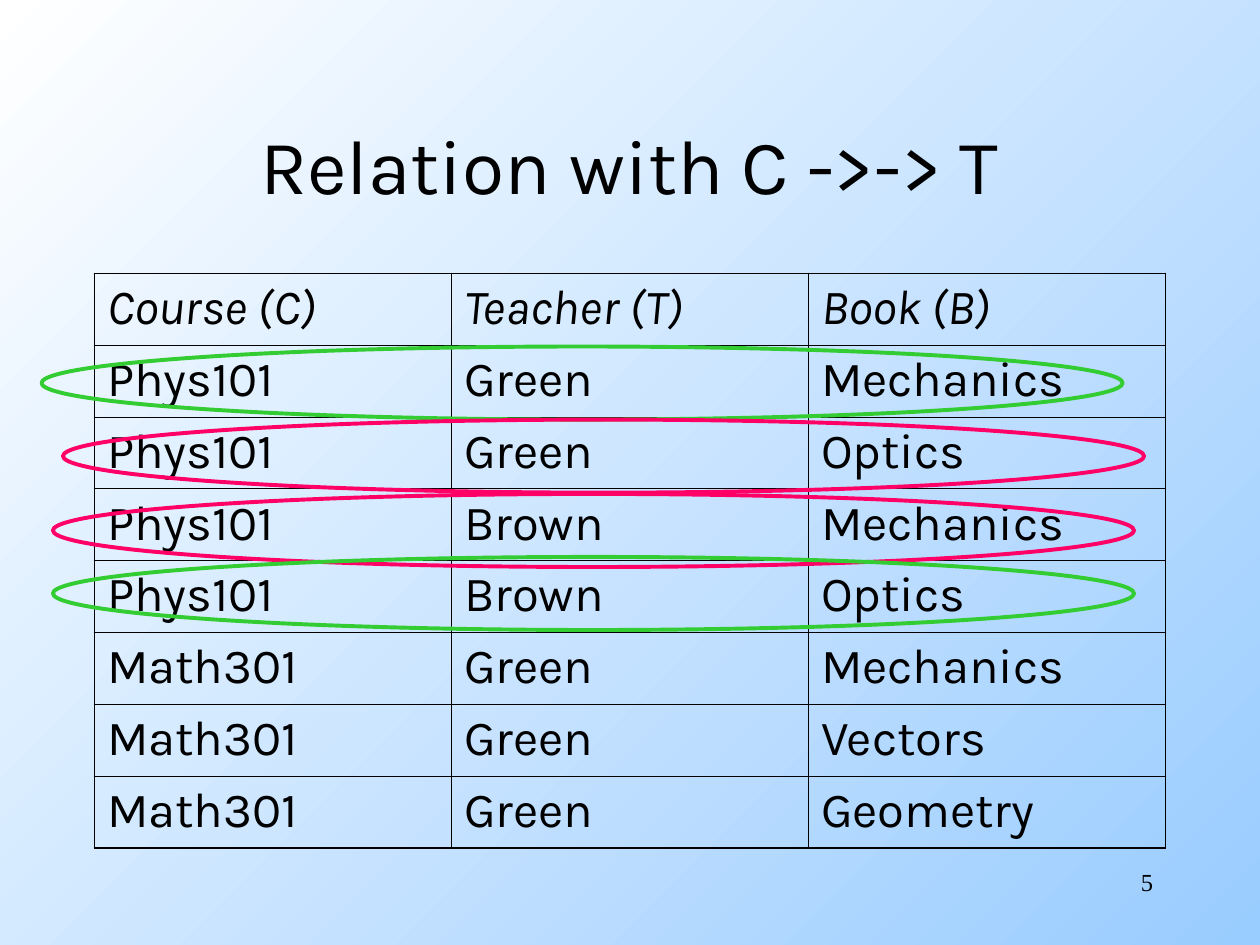
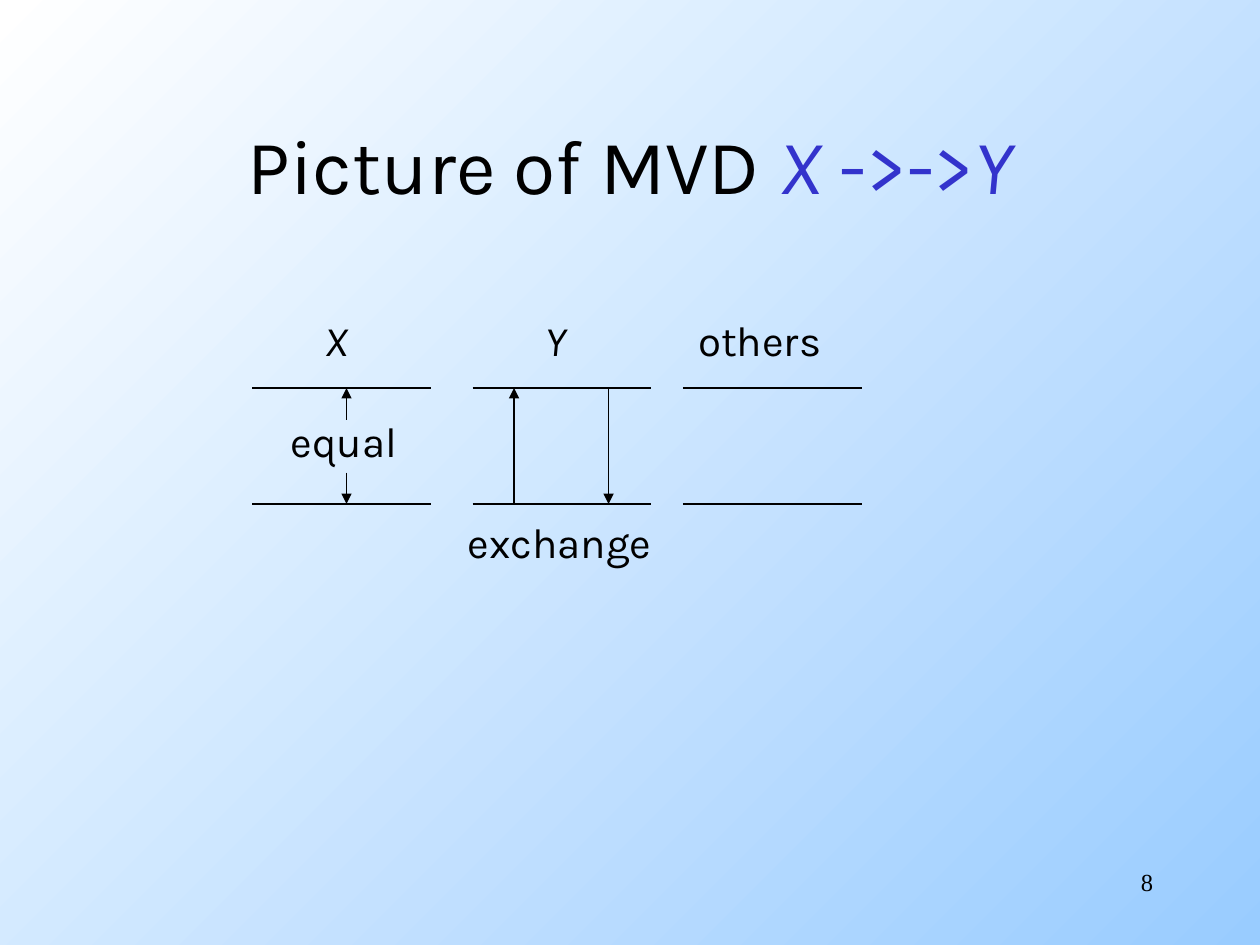
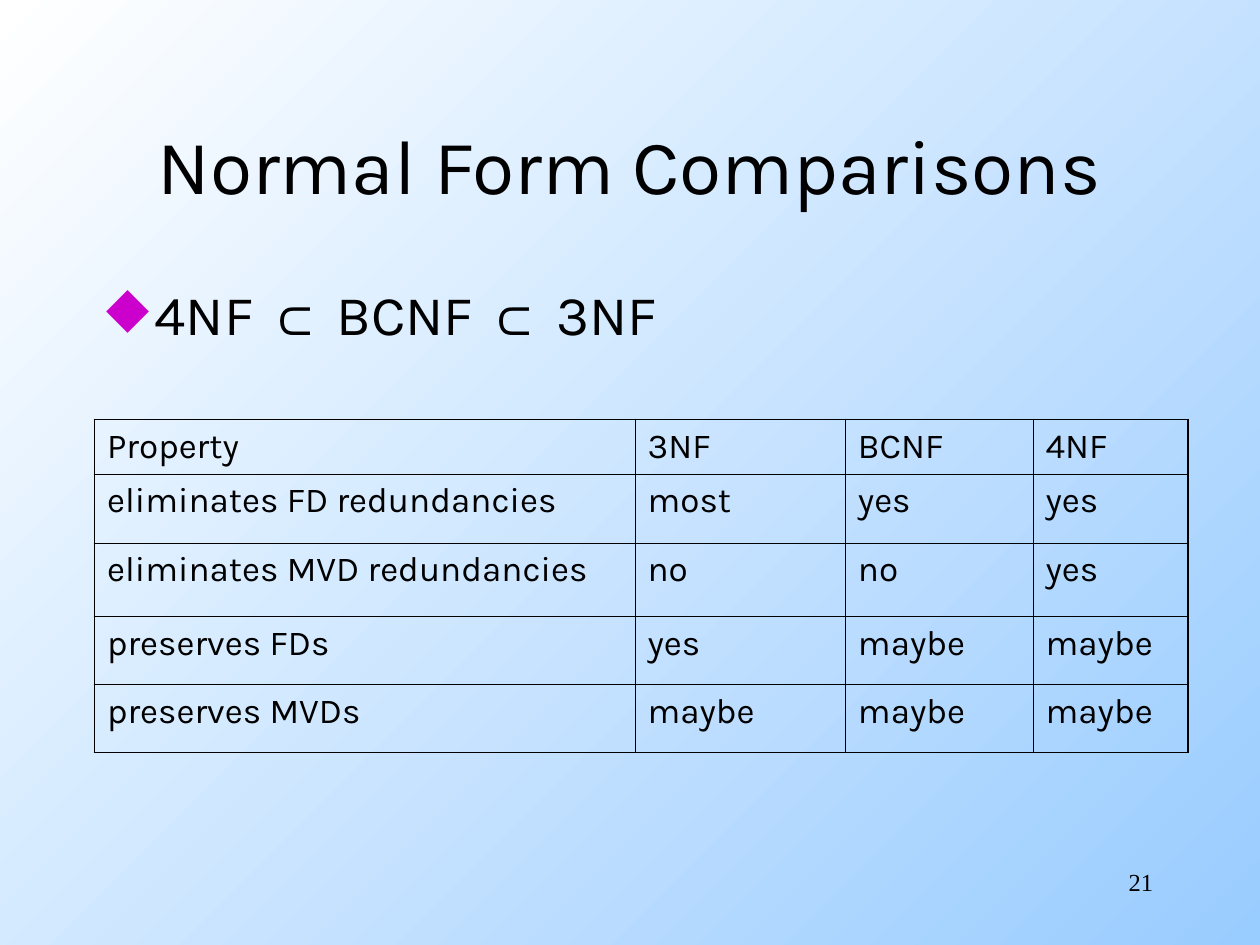
from lxml import etree
from pptx import Presentation
from pptx.dml.color import RGBColor
from pptx.enum.shapes import MSO_CONNECTOR, MSO_SHAPE
from pptx.enum.text import MSO_ANCHOR, PP_ALIGN
from pptx.oxml.ns import qn
from pptx.util import Inches, Pt

LEFT, CENTER, RIGHT = PP_ALIGN.LEFT, PP_ALIGN.CENTER, PP_ALIGN.RIGHT
MIDDLE = MSO_ANCHOR.MIDDLE
STRAIGHT = MSO_CONNECTOR.STRAIGHT
ELLIPSE = MSO_SHAPE.OVAL

BLACK, WHITE, SKY = "000000", "FFFFFF", "99CCFF"
BLUE, PURPLE, GREEN, PINK = "3333CC", "CC00CC", "33CC33", "FF0066"
BODY_FONT, NUMBER_FONT, SYMBOL_FONT = "Karla", "Times New Roman", "Arial"
MARGIN, CONTENT_WIDTH, CONTENT_TOP = 0.75, 8.5, 2.17
OUTER_BORDER, INNER_BORDER = 1.08, 0.45


def write(frame, runs, size, align=LEFT):
    """Fill the first paragraph; a run is (text, {font, color, italic})."""
    frame.word_wrap = True
    para = frame.paragraphs[0]
    para.alignment = align
    for text, style in runs:
        span = para.add_run()
        span.text = text
        span.font.size = Pt(size)
        span.font.name = style.get("font", BODY_FONT)
        span.font.italic = style.get("italic", False)
        span.font.color.rgb = RGBColor.from_string(style.get("color", BLACK))


def add_grid(slide, top, widths, heights, rows, size, header_style):
    """Add an unfilled table with a heavier outer border."""
    frame = slide.shapes.add_table(
        len(heights), len(widths), Inches(MARGIN), Inches(top),
        Inches(sum(widths)), Inches(sum(heights)))
    table = frame.table
    table.first_row = table.horz_banding = False
    for column, width in zip(table.columns, widths):
        column.width = Inches(width)
    for row, height in zip(table.rows, heights):
        row.height = Inches(height)
    for r, texts in enumerate(rows):
        for c, text in enumerate(texts):
            cell = table.cell(r, c)
            write(cell.text_frame, [(text, {} if r else header_style)], size)
            on_edge = {"a:lnL": c == 0, "a:lnR": c == len(widths) - 1,
                       "a:lnT": r == 0, "a:lnB": r == len(rows) - 1}
            properties = cell._tc.get_or_add_tcPr()
            for side, outer in on_edge.items():
                weight = Pt(OUTER_BORDER if outer else INNER_BORDER)
                border = etree.SubElement(properties, qn(side), w=str(weight))
                fill = etree.SubElement(border, qn("a:solidFill"))
                etree.SubElement(fill, qn("a:srgbClr"), val=BLACK)
            cell.fill.background()


deck = Presentation()
deck.slide_width, deck.slide_height = Inches(10), Inches(7.5)

# Shared background, titles and slide numbers
background = deck.slide_master.background.fill
background.gradient()
background.gradient_angle = 315
for stop, color in zip(background.gradient_stops, (WHITE, SKY)):
    stop.color.rgb = RGBColor.from_string(color)

headings = [
    ("5", [("Relation with C ->-> T", {})]),
    ("8", [("Picture of MVD ", {}),
           ("X ", {"color": BLUE, "italic": True}),
           ("->->", {"color": BLUE}),
           ("Y", {"color": BLUE, "italic": True})]),
    ("21", [("Normal Form Comparisons", {})]),
]
pages = []
for number, title_runs in headings:
    page = deck.slides.add_slide(deck.slide_layouts[6])
    number_box = page.shapes.add_textbox(
        Inches(7.17), Inches(6.83), Inches(2.08), Inches(0.5))
    write(number_box.text_frame, [(number, {"font": NUMBER_FONT})], 14, RIGHT)
    title_box = page.shapes.add_textbox(
        Inches(MARGIN), Inches(0.67), Inches(CONTENT_WIDTH), Inches(1.25))
    title_box.text_frame.vertical_anchor = MIDDLE
    write(title_box.text_frame, title_runs, 44, CENTER)
    pages.append(page)
relation_page, mvd_page, comparison_page = pages

# Relation table with the swapped pairs of tuples ringed
relation_rows = [
    ("Course (C)", "Teacher (T)", "Book (B)"),
    ("Phys101", "Green", "Mechanics"),
    ("Phys101", "Green", "Optics"),
    ("Phys101", "Brown", "Mechanics"),
    ("Phys101", "Brown", "Optics"),
    ("Math301", "Green", "Mechanics"),
    ("Math301", "Green", "Vectors"),
    ("Math301", "Green", "Geometry"),
]
add_grid(relation_page, CONTENT_TOP, [CONTENT_WIDTH / 3] * 3,
         [0.57] * len(relation_rows), relation_rows, 28, {"italic": True})

rings = [(0.33, 2.75, GREEN), (0.42, 3.92, PINK),
         (0.5, 3.33, PINK), (0.42, 4.42, GREEN)]
for left, top, color in rings:
    ring = relation_page.shapes.add_shape(
        ELLIPSE, Inches(left), Inches(top), Inches(8.58), Inches(0.58))
    ring.shadow.inherit = False
    ring.fill.background()
    ring.line.color.rgb = RGBColor.from_string(color)
    ring.line.width = Pt(2.25)

# Two tuples drawn as lines, with arrows for the exchange
upper, lower = 3.08, 4
tuple_lines = [(left, y, left + 1.42, y, False)
               for left in (2, 3.75, 5.42) for y in (upper, lower)]
arrows = [
    (2.75, 3.33, 2.75, upper, True),
    (2.75, 3.75, 2.75, lower, True),
    (4.08, lower, 4.08, upper, True),
    (4.83, upper, 4.83, lower, True),
]
for x1, y1, x2, y2, has_head in tuple_lines + arrows:
    line = mvd_page.shapes.add_connector(
        STRAIGHT, Inches(x1), Inches(y1), Inches(x2), Inches(y2))
    line.line.color.rgb = RGBColor.from_string(BLACK)
    line.line.width = Pt(0.75)
    if has_head:
        etree.SubElement(line.line._get_or_add_ln(), qn("a:tailEnd"),
                         type="triangle")
    etree.SubElement(line._element.spPr, qn("a:effectLst"))

label_width = 1.8
labels = [
    ("X", 2.67, 2.45, True),
    ("Y", 4.41, 2.45, True),
    ("others", 6.03, 2.45, False),
    ("equal", 2.73, 3.25, False),
    ("exchange", 4.44, 4.05, False),
]
for text, center, top, italic in labels:
    label = mvd_page.shapes.add_textbox(
        Inches(center - label_width / 2), Inches(top),
        Inches(label_width), Inches(0.5))
    write(label.text_frame, [(text, {"italic": italic})], 24, CENTER)

# Containment of the normal forms and what each one guarantees
body_box = comparison_page.shapes.add_textbox(
    Inches(MARGIN), Inches(CONTENT_TOP), Inches(CONTENT_WIDTH), Inches(1))
bullet = body_box.text_frame.paragraphs[0]._p.get_or_add_pPr()
bullet.set("marL", str(Inches(0.38)))
bullet.set("indent", str(-Inches(0.38)))
bullet_color = etree.SubElement(bullet, qn("a:buClr"))
etree.SubElement(bullet_color, qn("a:srgbClr"), val=PURPLE)
etree.SubElement(bullet, qn("a:buChar"), char="◆")
subset = ("⊂", {"font": SYMBOL_FONT})
write(body_box.text_frame,
      [("4NF ", {}), subset, (" BCNF ", {}), subset, (" 3NF", {})], 32)

comparison_rows = [
    ("Property", "3NF", "BCNF", "4NF"),
    ("eliminates FD redundancies", "most", "yes", "yes"),
    ("eliminates MVD redundancies", "no", "no", "yes"),
    ("preserves FDs", "yes", "maybe", "maybe"),
    ("preserves MVDs", "maybe", "maybe", "maybe"),
]
add_grid(comparison_page, 3.33, [4.29, 1.67, 1.49, 1.23],
         [0.43, 0.55, 0.58, 0.54, 0.54], comparison_rows, 20, {})

deck.save("out.pptx")
